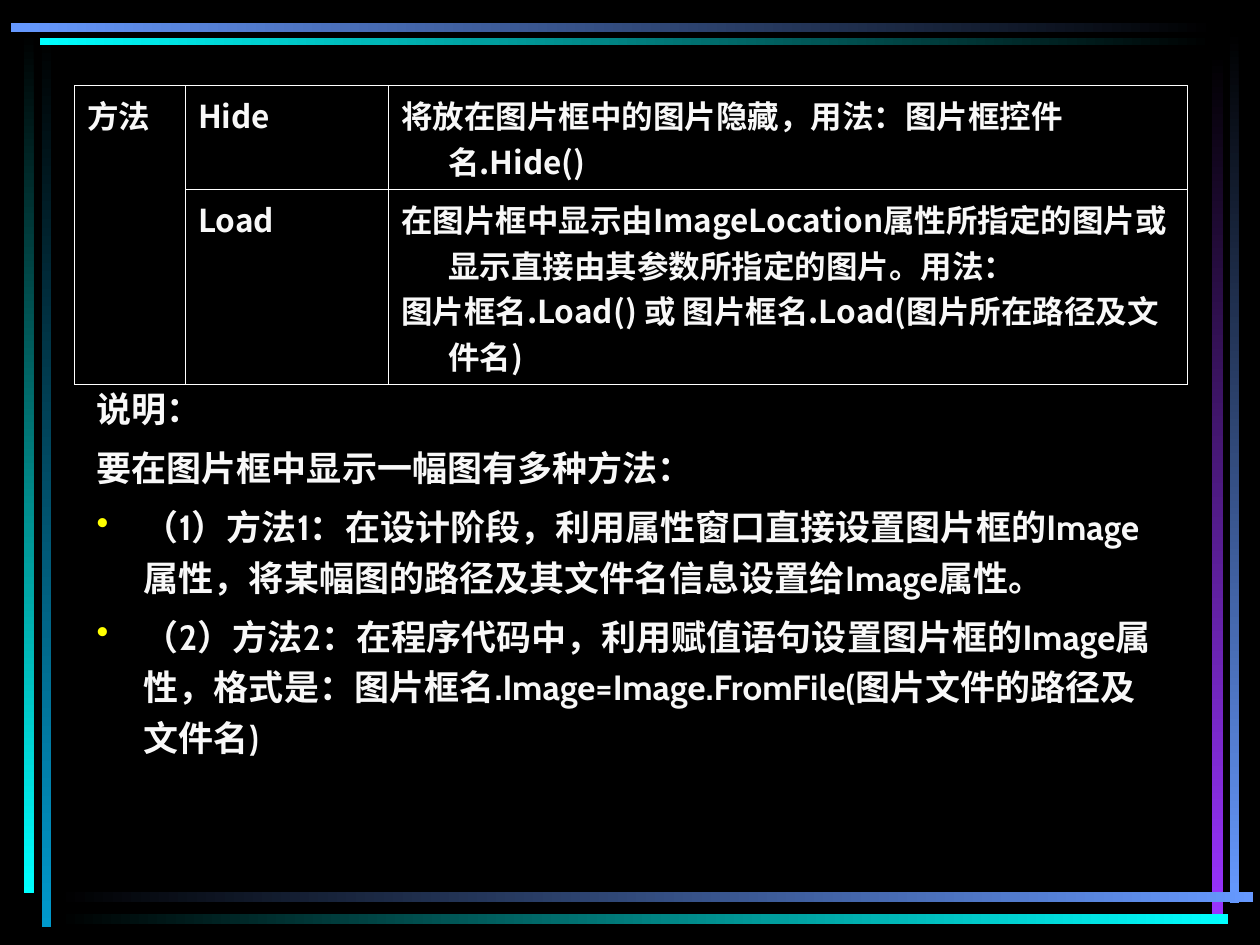
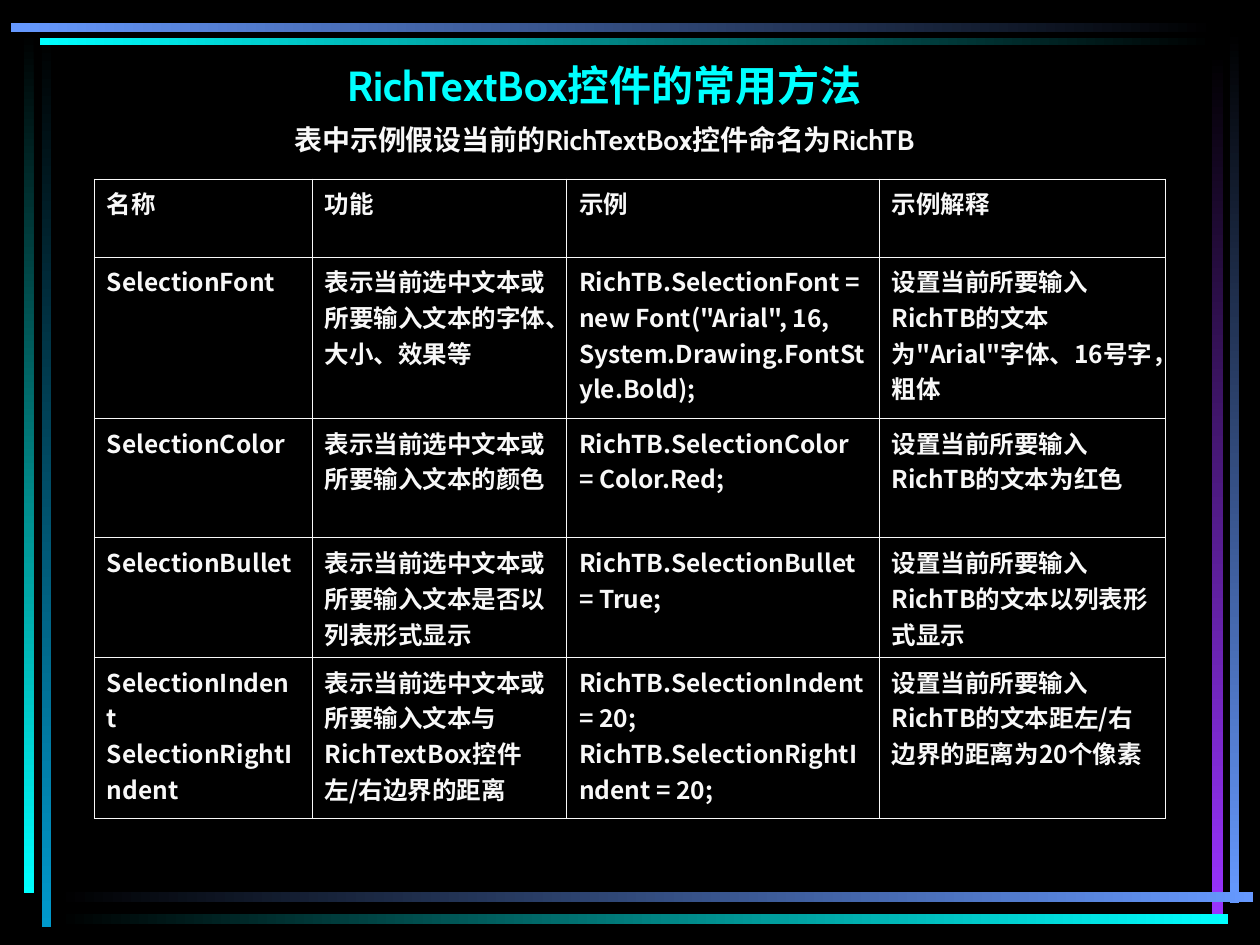
from dataclasses import dataclass
from typing import Any

from lxml.etree import SubElement
from pptx import Presentation
from pptx.dml.color import RGBColor
from pptx.enum.shapes import MSO_SHAPE as Preset
from pptx.enum.text import MSO_ANCHOR as Anchor, MSO_AUTO_SIZE as AutoSize, PP_ALIGN as Align
from pptx.oxml.ns import qn
from pptx.util import Cm, Pt

BLACK, WHITE, TEXT = "000000", "FFFFFF", "F8F8F8"
CYAN, BLUE, OCEAN, VIOLET, YELLOW = "00FFFF", "6699FF", "0099CC", "9933FF", "FFFF00"
CABIN, NOTO = "Cabin", "Noto Sans CJK SC"
HANGING = Cm(0.95)


@dataclass(frozen=True)
class Band:
    left: float
    top: float
    width: float
    height: float
    start: str
    end: str


@dataclass(frozen=True)
class TextStyle:
    size: float
    font: str
    color: str = TEXT


@dataclass(frozen=True)
class TableSpec:
    left: float
    top: float
    columns: list[float]
    rows: list[float]
    style: TextStyle
    border: str
    hanging: bool
    cells: list[list[str]]


BANDS = [
    Band(0.84, 0.71, 0.2, 17.98, BLACK, OCEAN),
    Band(0.48, 0.64, 0.2, 17.37, BLACK, CYAN),
    Band(24.79, 0.61, 0.18, 17.6, BLACK, BLUE),
    Band(24.43, 1.07, 0.23, 17.35, BLACK, VIOLET),
    Band(1.14, 17.98, 24.13, 0.2, BLACK, BLUE),
    Band(1.14, 18.42, 23.62, 0.2, BLACK, CYAN),
    Band(0.81, 0.76, 23.67, 0.15, CYAN, BLACK),
    Band(0.22, 0.47, 24.28, 0.18, BLUE, BLACK),
]

TITLE = TextStyle(24, CABIN, CYAN)
SUBTITLE = TextStyle(16, CABIN)
BODY = TextStyle(20, CABIN)

PICTURE_BOX_METHODS = TableSpec(
    1.5, 1.73, [2.24, 4.09, 16.1], [1.78, 3.3], TextStyle(18, NOTO), WHITE, True,
    [
        ["方法", "Hide", "将放在图片框中的图片隐藏，用法：图片框控件名.Hide()"],
        ["", "Load", "在图片框中显示由ImageLocation属性所指定的图片或显示直接由其参数所指定的图片。用法：\n"
                     "图片框名.Load() 或 图片框名.Load(图片所在路径及文件名)"],
    ],
)

RICH_TEXT_METHODS = TableSpec(
    1.9, 3.61, [4.39, 5.13, 6.3, 5.77], [1.57, 3.25, 2.41, 2.41, 3.25],
    TextStyle(14, NOTO), TEXT, False,
    [
        ["名称", "功能", "示例", "示例解释"],
        ["SelectionFont", "表示当前选中文本或所要输入文本的字体、大小、效果等",
         'RichTB.SelectionFont = new Font("Arial", 16, System.Drawing.FontStyle.Bold);',
         '设置当前所要输入RichTB的文本为"Arial"字体、16号字，粗体'],
        ["SelectionColor", "表示当前选中文本或所要输入文本的颜色",
         "RichTB.SelectionColor = Color.Red;", "设置当前所要输入RichTB的文本为红色"],
        ["SelectionBullet", "表示当前选中文本或所要输入文本是否以列表形式显示",
         "RichTB.SelectionBullet = True;", "设置当前所要输入RichTB的文本以列表形式显示"],
        ["SelectionIndent\nSelectionRightIndent",
         "表示当前选中文本或所要输入文本与RichTextBox控件左/右边界的距离",
         "RichTB.SelectionIndent = 20;\nRichTB.SelectionRightIndent = 20;",
         "设置当前所要输入RichTB的文本距左/右边界的距离为20个像素"],
    ],
)

EXPLANATION = ["说明：", "要在图片框中显示一幅图有多种方法："]
WAYS_TO_SHOW = [
    "（1）方法1：在设计阶段，利用属性窗口直接设置图片框的Image属性，将某幅图的路径及其文件名信息设置给Image属性。",
    "（2）方法2：在程序代码中，利用赋值语句设置图片框的Image属性，格式是："
    "图片框名.Image=Image.FromFile(图片文件的路径及文件名)",
]


def rgb(color: str) -> RGBColor:
    return RGBColor.from_string(color)


def apply_format(target: Any, values: dict[str, Any]) -> None:
    for name, value in values.items():
        setattr(target, name, value)


def add_band(slide: Any, band: Band) -> None:
    lengths = (Cm(n) for n in (band.left, band.top, band.width, band.height))
    shape = slide.shapes.add_shape(Preset.RECTANGLE, *lengths)
    shape.shadow.inherit = False
    shape.line.fill.background()
    shape.fill.gradient()
    shape.fill.gradient_angle = 270 if band.height > band.width else 0
    for stop, color, position in zip(shape.fill.gradient_stops, (band.start, band.end), (0, 1)):
        stop.color.rgb = rgb(color)
        stop.position = position


def add_framed_slide(presentation: Any) -> Any:
    slide = presentation.slides.add_slide(presentation.slide_layouts[6])
    slide.background.fill.solid()
    slide.background.fill.fore_color.rgb = rgb(BLACK)
    for band in BANDS:
        add_band(slide, band)
    return slide


def add_run(paragraph: Any, text: str, style: TextStyle) -> None:
    """Add bold text whose Latin and East Asian fonts are the same."""
    run = paragraph.add_run()
    run.text = text
    apply_format(run.font, {"size": Pt(style.size), "bold": True, "name": style.font})
    run.font.color.rgb = rgb(style.color)
    SubElement(run.font._element, qn("a:ea"), typeface=style.font)


def hang(paragraph: Any, bullet: bool = False) -> None:
    """Indent all lines but the first, with a yellow bullet if asked."""
    properties = paragraph._p.get_or_add_pPr()
    properties.set("marL", str(HANGING))
    properties.set("indent", str(-HANGING))
    if bullet:
        bullet_color = SubElement(properties, qn("a:buClr"))
        SubElement(bullet_color, qn("a:srgbClr"), val=YELLOW)
        SubElement(properties, qn("a:buChar"), char="•")


def next_paragraph(frame: Any, index: int) -> Any:
    return frame.add_paragraph() if index else frame.paragraphs[0]


def add_text_frame(slide: Any, left: float, top: float, width: float, height: float) -> Any:
    box = slide.shapes.add_textbox(Cm(left), Cm(top), Cm(width), Cm(height))
    apply_format(box.text_frame, {"word_wrap": True, "vertical_anchor": Anchor.TOP})
    return box.text_frame


def add_borders(cell: Any, color: str) -> None:
    properties = cell._tc.get_or_add_tcPr()
    for side in ("lnL", "lnR", "lnT", "lnB"):
        line = SubElement(properties, qn(f"a:{side}"), w=str(Pt(0.45)))
        SubElement(SubElement(line, qn("a:solidFill")), qn("a:srgbClr"), val=color)


def add_table(slide: Any, spec: TableSpec) -> Any:
    frame = slide.shapes.add_table(
        len(spec.rows), len(spec.columns), Cm(spec.left), Cm(spec.top),
        Cm(sum(spec.columns)), Cm(sum(spec.rows)),
    )
    table = frame.table
    apply_format(table, {"first_row": False, "horz_banding": False})
    for column, width in zip(table.columns, spec.columns):
        column.width = Cm(width)
    for row, height, texts in zip(table.rows, spec.rows, spec.cells):
        row.height = Cm(height)
        for cell, text in zip(row.cells, texts):
            add_borders(cell, spec.border)
            cell.fill.background()
            for index, line in enumerate(text.splitlines()):
                paragraph = next_paragraph(cell.text_frame, index)
                if spec.hanging:
                    hang(paragraph)
                add_run(paragraph, line, spec.style)
    return table


def build_picture_box_slide(presentation: Any) -> None:
    slide = add_framed_slide(presentation)
    table = add_table(slide, PICTURE_BOX_METHODS)
    table.cell(0, 0).merge(table.cell(1, 0))
    frame = add_text_frame(slide, 1.7, 7.52, 21.79, 10.11)
    frame.auto_size = AutoSize.SHAPE_TO_FIT_TEXT
    for index, text in enumerate(EXPLANATION + WAYS_TO_SHOW):
        paragraph = next_paragraph(frame, index)
        hang(paragraph, bullet=text in WAYS_TO_SHOW)
        apply_format(paragraph, {"line_spacing": 1.2, "space_before": Pt(5 if index else 0)})
        add_run(paragraph, text, BODY)


def build_rich_text_slide(presentation: Any) -> None:
    slide = add_framed_slide(presentation)
    frame = add_text_frame(slide, 1.07, 1.07, 22.23, 2.34)
    lines = [("RichTextBox控件的常用方法", TITLE, 0),
             ("表中示例假设当前的RichTextBox控件命名为RichTB", SUBTITLE, 7.4)]
    for index, (text, style, gap) in enumerate(lines):
        paragraph = next_paragraph(frame, index)
        apply_format(paragraph, {"alignment": Align.CENTER, "space_before": Pt(gap)})
        add_run(paragraph, text, style)
    add_table(slide, RICH_TEXT_METHODS)


def main() -> None:
    presentation = Presentation()
    apply_format(presentation, {"slide_width": Cm(25.4), "slide_height": Cm(19.05)})
    build_picture_box_slide(presentation)
    build_rich_text_slide(presentation)
    presentation.save("out.pptx")


if __name__ == "__main__":
    main()
